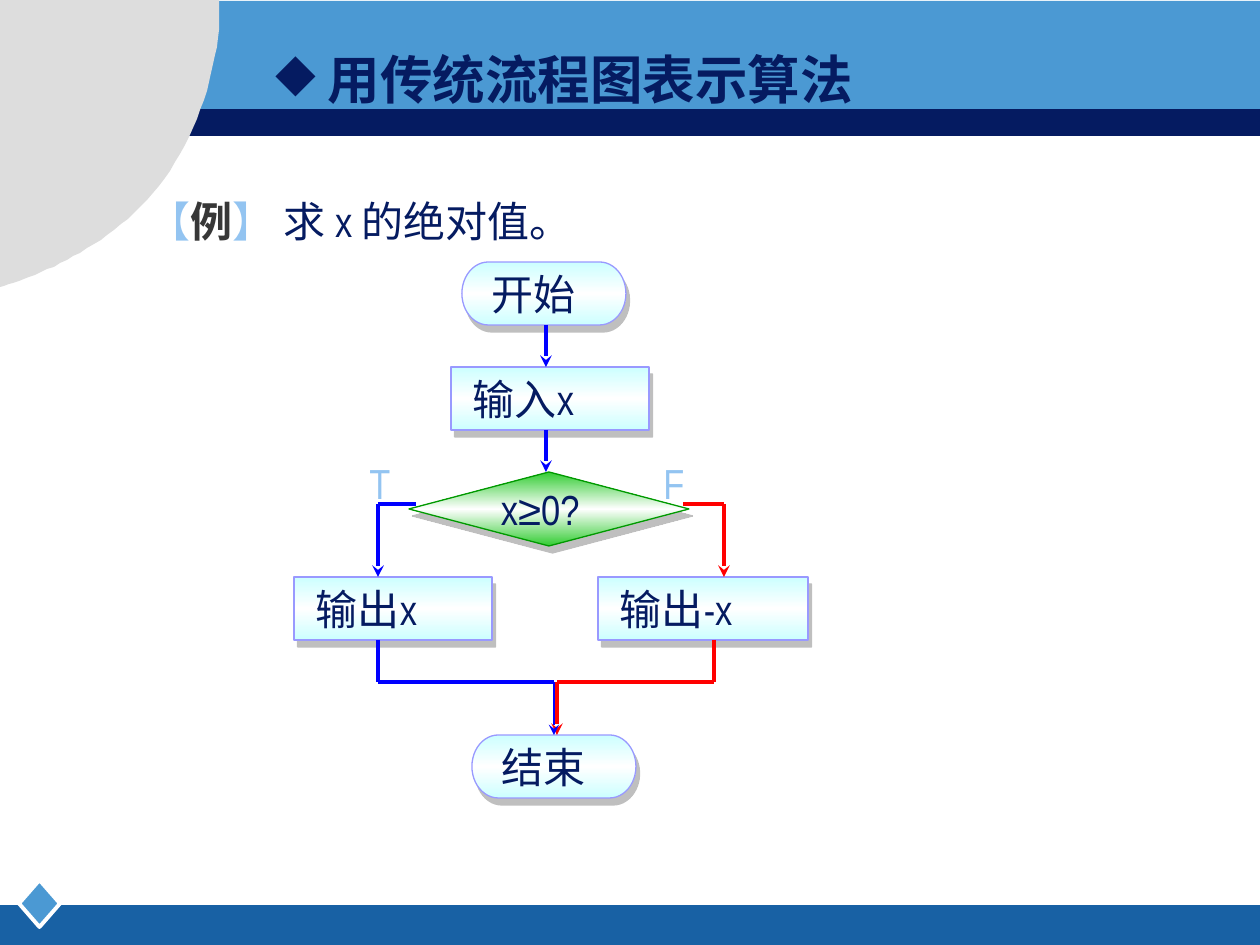
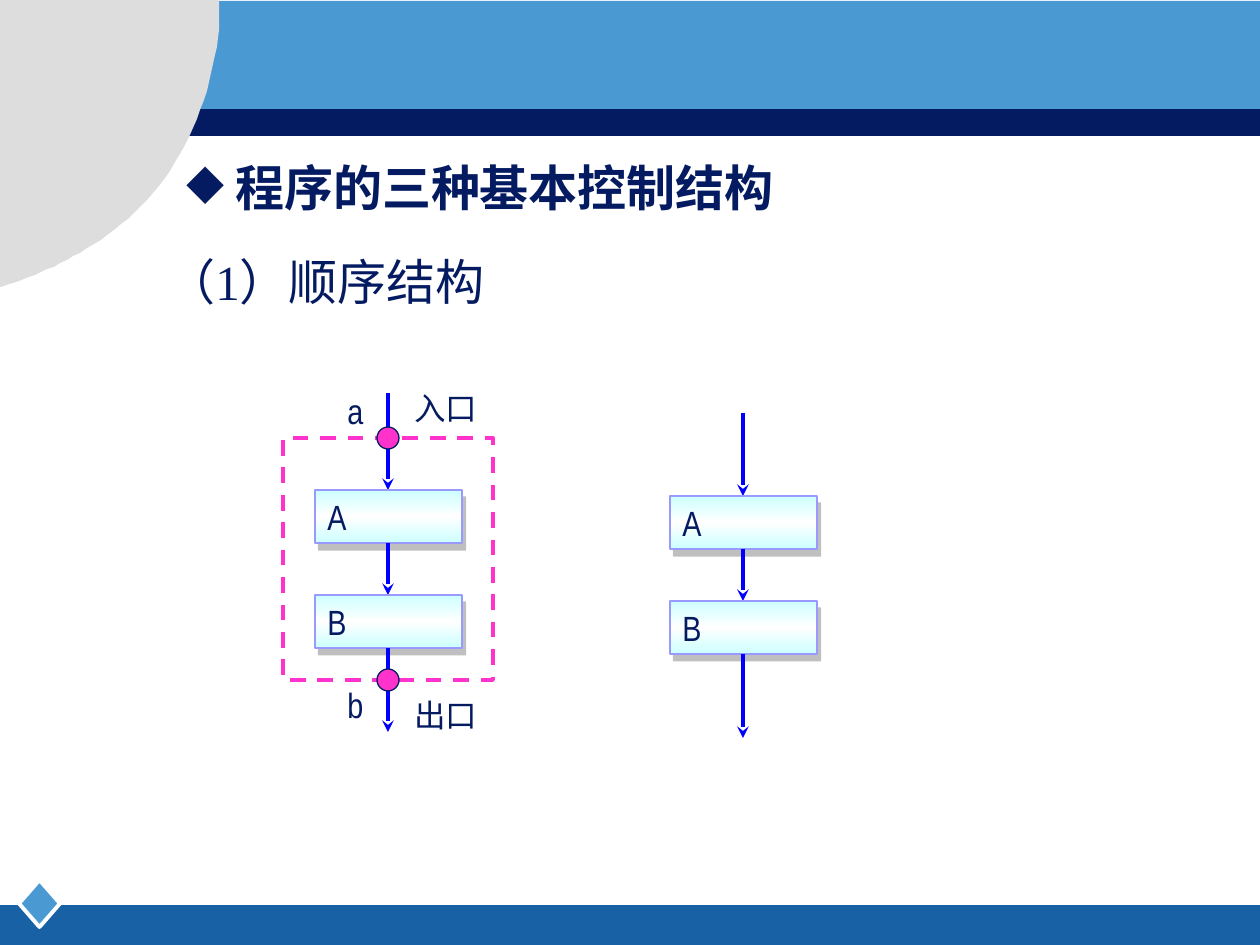
import copy
import pptx
import pptx.util
import pptx.dml.color
import pptx.enum.dml
import pptx.enum.shapes
import pptx.enum.text
import pptx.oxml
import pptx.oxml.ns

PX = 914400 / 126
KIND = pptx.enum.shapes.MSO_SHAPE
MIDDLE = pptx.enum.text.MSO_ANCHOR.MIDDLE
DASH = pptx.enum.dml.MSO_LINE.DASH
NS = pptx.oxml.ns.nsdecls("a")

NAVY, SKY, DEEP, PALE = "051B61", "4B99D3", "1861A4", "93C4F1"
BLUE, RED, PINK, GRAY, WHITE = "0000FF", "FF0000", "FF33CC", "373737", "FFFFFF"
AQUA = ("CCFFFF", "9999FF")
GREEN = ("33CC33", "009900")
NARROW, SANS, SERIF = "Arial Narrow", "DejaVu Sans", "Times New Roman"

# Shared frame: kind, box, fill, outline
BANDS = [
    (KIND.RECTANGLE, (0, 905, 1260, 41), DEEP, None),
    (KIND.DIAMOND, (19, 880, 41, 47), SKY, WHITE),
    (KIND.RECTANGLE, (0, 96, 1260, 40), NAVY, None),
    (KIND.RECTANGLE, (4, 1, 1256, 108), SKY, None),
]
# Corner outline: two Bezier curves, joined through the slide corner
CURVES = [
    [(147, 200), (97, 253), (32, 278), (0, 287)],
    [(219, 0), (223, 54), (198, 147), (147, 200)],
]

# Flowchart: kind, box, text, tones
STEPS = [
    (KIND.FLOWCHART_DECISION, (409, 472, 280, 74), " x≥0?", GREEN),
    (KIND.FLOWCHART_TERMINATOR, (462, 262, 164, 63), " 开始", AQUA),
    (KIND.RECTANGLE, (451, 367, 198, 63), " 输入x", AQUA),
    (KIND.RECTANGLE, (598, 577, 210, 63), " 输出-x", AQUA),
    (KIND.RECTANGLE, (294, 577, 198, 63), " 输出x", AQUA),
    (KIND.FLOWCHART_TERMINATOR, (472, 735, 164, 63), " 结束", AQUA),
]
# Routes: points, colour; the last leg carries the arrowhead
ROUTES = [
    ([(546, 325), (546, 367)], BLUE),
    ([(546, 430), (546, 472)], BLUE),
    ([(683, 504), (724, 504), (724, 577)], RED),
    ([(416, 504), (378, 504), (378, 577)], BLUE),
    ([(714, 640), (714, 682), (557, 682), (557, 735)], RED),
    ([(378, 640), (378, 682), (554, 682)], BLUE),
]
BRANCHES = [("F", (651, 451, 82, 63)), ("T", (357, 451, 82, 63))]
EXAMPLE = [("【", PALE, False), ("例", GRAY, True), ("】 ", PALE, False),
           ("求 x 的绝对值。", NAVY, False)]

# Sequence columns: centre, start, first box, end
FRAMED = (388, 393, 490, 732)
PLAIN = (743, 413, 496, 738)
PARTS = ["A", "B"]
PORTS = [
    ("a", (335, 383, 53, 54), 20), ("b", (335, 677, 53, 54), 20),
    ("入口", (402, 383, 105, 50), 18), ("出口", (402, 690, 105, 50), 18),
]


def px(*nums):
    return [round(n * PX) for n in nums]


def rgb(tone):
    return pptx.dml.color.RGBColor.from_string(tone)


def put(item, **values):
    for name, value in values.items():
        setattr(item, name, value)


def write(shape, runs, size, face=NARROW, **frame):
    """Fill a shape with one left-aligned paragraph of (text, colour, bold) runs."""
    put(shape.text_frame, word_wrap=True, **frame)
    para = shape.text_frame.paragraphs[0]
    para.alignment = pptx.enum.text.PP_ALIGN.LEFT
    for text, tone, bold in runs:
        run = para.add_run()
        run.text = text
        put(run.font, size=pptx.util.Pt(size), name=face, bold=bold)
        run.font.color.rgb = rgb(tone)
    return para


def label(slide, box, runs, size, face=NARROW, **frame):
    return write(slide.shapes.add_textbox(*px(*box)), runs, size, face, **frame)


def paint(shape, fill, edge=None, width=0.75, dash=None):
    shape.shadow.inherit = False
    if fill:
        shape.fill.solid()
        shape.fill.fore_color.rgb = rgb(fill)
    else:
        shape.fill.background()
    if edge:
        shape.line.color.rgb = rgb(edge)
        put(shape.line, width=pptx.util.Pt(width), dash_style=dash)
    else:
        shape.line.fill.background()


def draw(slide, kind, box, *look):
    shape = slide.shapes.add_shape(kind, *px(*box))
    paint(shape, *look)
    return shape


def node(slide, kind, box, text, tones, size):
    """Add a glossy box with a hard drop shadow."""
    glow, edge = tones
    shape = draw(slide, kind, box, glow, edge)
    shape.fill.gradient()
    shape.fill.gradient_angle = 90
    props = shape.element.spPr
    stops = props.find(".//" + pptx.oxml.ns.qn("a:gsLst"))
    stops.insert(1, copy.deepcopy(stops[0]))
    for stop, tone, place in zip(shape.fill.gradient_stops, (glow, WHITE, glow), (0, 0.5, 1)):
        stop.color.rgb = rgb(tone)
        stop.position = place
    props.find(pptx.oxml.ns.qn("a:effectLst")).append(pptx.oxml.parse_xml(
        f'<a:outerShdw {NS} dist="57150" dir="3780000" algn="ctr" rotWithShape="0">'
        '<a:srgbClr val="808080"><a:alpha val="50000"/></a:srgbClr></a:outerShdw>'))
    write(shape, [(text, NAVY, False)], size, vertical_anchor=MIDDLE)


def link(slide, start, end, tone, arrow=True, width=2.25):
    line = slide.shapes.add_connector(
        pptx.enum.shapes.MSO_CONNECTOR.STRAIGHT, *px(*start, *end))
    line.line.color.rgb = rgb(tone)
    line.line.width = pptx.util.Pt(width)
    if arrow:
        line.line.fill  # the outline element now exists
        line.element.spPr.find(pptx.oxml.ns.qn("a:ln")).append(
            pptx.oxml.parse_xml(f'<a:tailEnd {NS} type="stealth"/>'))
    line.element.spPr.append(pptx.oxml.parse_xml(f"<a:effectLst {NS}/>"))


def route(slide, points, tone, arrow=True):
    legs = list(zip(points, points[1:]))
    for i, (start, end) in enumerate(legs, 1):
        link(slide, start, end, tone, arrow and i == len(legs))


def bezier(dots, steps=24):
    for i in range(steps + 1):
        t = i / steps
        parts = ((1 - t) ** 3, 3 * t * (1 - t) ** 2, 3 * t * t * (1 - t), t ** 3)
        yield tuple(sum(k * dot[axis] for k, dot in zip(parts, dots)) for axis in (0, 1))


def frame(deck):
    """Add a slide with the shared bands and corner."""
    slide = deck.slides.add_slide(deck.slide_layouts[6])
    for kind, box, fill, edge in BANDS:
        draw(slide, kind, box, fill, edge, 2.25)
    points = [*bezier(CURVES[0]), (0, 0), *bezier(CURVES[1])]
    pen = slide.shapes.build_freeform(*points[0], scale=PX)
    pen.add_line_segments(points[1:], close=True)
    paint(pen.convert_to_shape(), "DDDDDD")
    return slide


def title(slide, box, text, size):
    para = label(slide, box, [(text, NAVY, True)], size, SANS, vertical_anchor=MIDDLE)
    props = para._p.get_or_add_pPr()
    hang = round(size * 12700)
    props.set("marL", str(hang))
    props.set("indent", str(-hang))
    props.append(pptx.oxml.parse_xml(f'<a:buChar {NS} char="◆"/>'))


def flow(deck):
    slide = frame(deck)
    title(slide, (263, 42, 824, 73), "用传统流程图表示算法", 30)
    label(slide, (136, 189, 945, 63), EXAMPLE, 24)
    for step in STEPS:
        node(slide, *step, 24)
    for points, tone in ROUTES:
        route(slide, points, tone, points[-1] != (554, 682))
    link(slide, (554, 682), (554, 735), BLUE, width=1)
    for text, box in BRANCHES:
        label(slide, box, [(text, PALE, False)], 24)


def column(slide, mid, start, top, end):
    wide, high, pitch = 147, 53, 105
    for i, text in enumerate(PARTS):
        y = top + i * pitch
        link(slide, (mid, start), (mid, y), BLUE)
        node(slide, KIND.RECTANGLE, (mid - wide // 2, y, wide, high), text, AQUA, 20)
        start = y + high
    link(slide, (mid, start), (mid, end), BLUE)


def sequence(deck):
    slide = frame(deck)
    title(slide, (174, 145, 1086, 84), "程序的三种基本控制结构", 28)
    para = label(slide, (154, 234, 1040, 73), [("（1）顺序结构", NAVY, False)], 28, SERIF)
    para.line_spacing = 1.2
    column(slide, *PLAIN)
    left, top, wide, high = zone = (283, 438, 210, 242)
    draw(slide, KIND.RECTANGLE, zone, None, PINK, 2.25, DASH)
    column(slide, *FRAMED)
    dot = 22
    for y in (top, top + high):
        box = (left + wide // 2 - dot // 2, y - dot // 2, dot, dot)
        draw(slide, KIND.OVAL, box, PINK, NAVY)
    for text, box, size in PORTS:
        label(slide, box, [(text, NAVY, False)], size)


def main():
    deck = pptx.Presentation()
    deck.slide_width, deck.slide_height = px(1260, 945)
    flow(deck)
    sequence(deck)
    deck.save("out.pptx")


if __name__ == "__main__":
    main()
